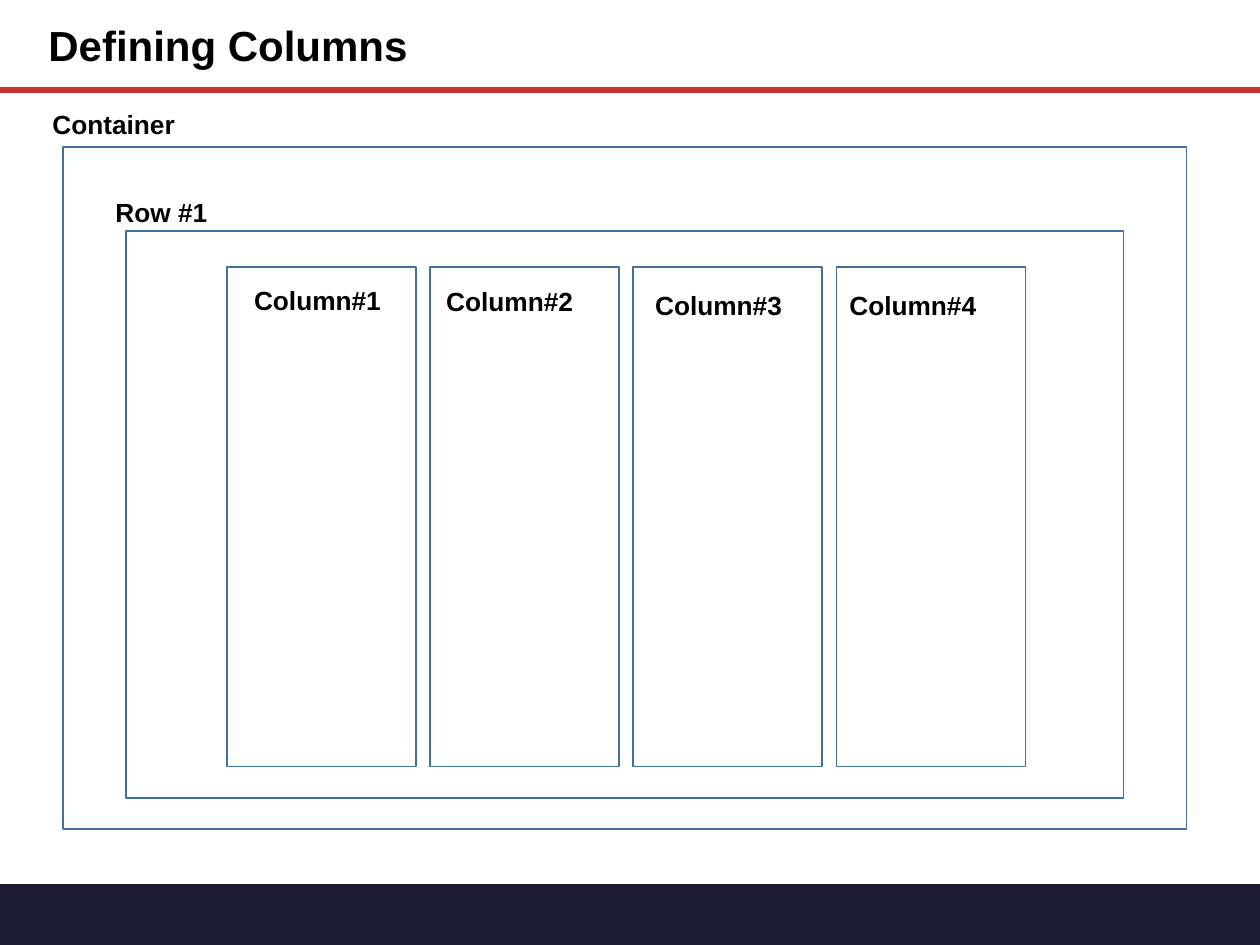
"""Build a slide that shows columns nested in a row and a container."""
from dataclasses import dataclass

import lxml.etree
import pptx
import pptx.dml.color
import pptx.enum.shapes
import pptx.enum.text
import pptx.oxml.ns
import pptx.util

GRID_COLUMNS, GRID_ROWS = 120, 90


@dataclass(frozen=True)
class Theme:
    font: str = "Arial"
    text: str = "000000"
    outline: str = "42719B"
    rule: str = "C83232"
    band: str = "1D1A36"
    title_size: float = 24
    label_size: float = 15
    outline_width: float = 1
    rule_width: float = 3.25
    inset: float = 0.05


@dataclass(frozen=True)
class Area:
    column: float
    row: float
    columns: float
    rows: float


@dataclass(frozen=True)
class Label:
    text: str
    area: Area


THEME = Theme()
TITLE = Label("Defining Columns", Area(4, 1.3, 67, 5.8))
BAND = Area(0, 84.2, GRID_COLUMNS, 5.8)
RULE_ROW = 8.6
CONTAINER = Area(6, 14, 107, 65)
ROW = Area(12, 22, 95, 54)
FIRST_COLUMN = Area(21.6, 25.4, 18, 47.6)
COLUMN_PITCH = 19.36
COLUMN_LABEL_CORNERS = [(23.6, 26.5), (41.9, 26.6), (61.8, 27), (80.3, 27)]


def color(value: str) -> pptx.dml.color.RGBColor:
    return pptx.dml.color.RGBColor.from_string(value)


def across(columns: float) -> int:
    return pptx.util.Inches(10 * columns / GRID_COLUMNS)


def down(rows: float) -> int:
    return pptx.util.Inches(7.5 * rows / GRID_ROWS)


def bounds(area: Area) -> tuple[int, int, int, int]:
    return across(area.column), down(area.row), across(area.columns), down(area.rows)


def add_rectangle(slide, area: Area, fill: str | None = None) -> None:
    shape = slide.shapes.add_shape(
        pptx.enum.shapes.MSO_SHAPE.RECTANGLE, *bounds(area))
    shape.shadow.inherit = False
    if fill:
        shape.fill.solid()
        shape.fill.fore_color.rgb = color(fill)
        shape.line.fill.background()
    else:
        shape.fill.background()
        shape.line.color.rgb = color(THEME.outline)
        shape.line.width = pptx.util.Pt(THEME.outline_width)


def add_rule(slide, row: float) -> None:
    connector = slide.shapes.add_connector(
        pptx.enum.shapes.MSO_CONNECTOR.STRAIGHT,
        0, down(row), across(GRID_COLUMNS), down(row))
    connector.line.color.rgb = color(THEME.rule)
    connector.line.width = pptx.util.Pt(THEME.rule_width)
    lxml.etree.SubElement(connector._element.spPr, pptx.oxml.ns.qn("a:effectLst"))


def write_text(shape, text: str, size: float) -> None:
    frame = shape.text_frame
    frame.text = text
    frame.word_wrap = True
    frame.auto_size = pptx.enum.text.MSO_AUTO_SIZE.NONE
    frame.vertical_anchor = pptx.enum.text.MSO_ANCHOR.TOP
    inset = pptx.util.Inches(THEME.inset)
    frame.margin_left = frame.margin_right = inset
    frame.margin_top = frame.margin_bottom = inset
    paragraph = frame.paragraphs[0]
    paragraph.alignment = pptx.enum.text.PP_ALIGN.LEFT
    font = paragraph.runs[0].font
    font.name = THEME.font
    font.size = pptx.util.Pt(size)
    font.bold = True
    font.color.rgb = color(THEME.text)


def place_title(slide, label: Label) -> None:
    title = slide.shapes.title
    title.left, title.top, title.width, title.height = bounds(label.area)
    write_text(title, label.text, THEME.title_size)


def add_label(slide, label: Label) -> None:
    text_box = slide.shapes.add_textbox(*bounds(label.area))
    write_text(text_box, label.text, THEME.label_size)


def main() -> None:
    presentation = pptx.Presentation()
    presentation.slide_width = across(GRID_COLUMNS)
    presentation.slide_height = down(GRID_ROWS)
    slide = presentation.slides.add_slide(presentation.slide_layouts[5])

    add_rectangle(slide, BAND, THEME.band)
    add_rule(slide, RULE_ROW)
    place_title(slide, TITLE)

    columns = [
        Area(FIRST_COLUMN.column + index * COLUMN_PITCH, FIRST_COLUMN.row,
             FIRST_COLUMN.columns, FIRST_COLUMN.rows)
        for index in range(len(COLUMN_LABEL_CORNERS))
    ]
    for area in [CONTAINER, ROW, *columns]:
        add_rectangle(slide, area)

    labels = [
        Label("Container", Area(4.4, 9.7, 67, 4)),
        Label("Row #1", Area(10.4, 18.1, 67, 4)),
    ]
    labels += [
        Label(f"Column#{number}", Area(column, row, 14.9, 4))
        for number, (column, row) in enumerate(COLUMN_LABEL_CORNERS, 1)
    ]
    for label in labels:
        add_label(slide, label)

    presentation.save("out.pptx")


if __name__ == "__main__":
    main()
